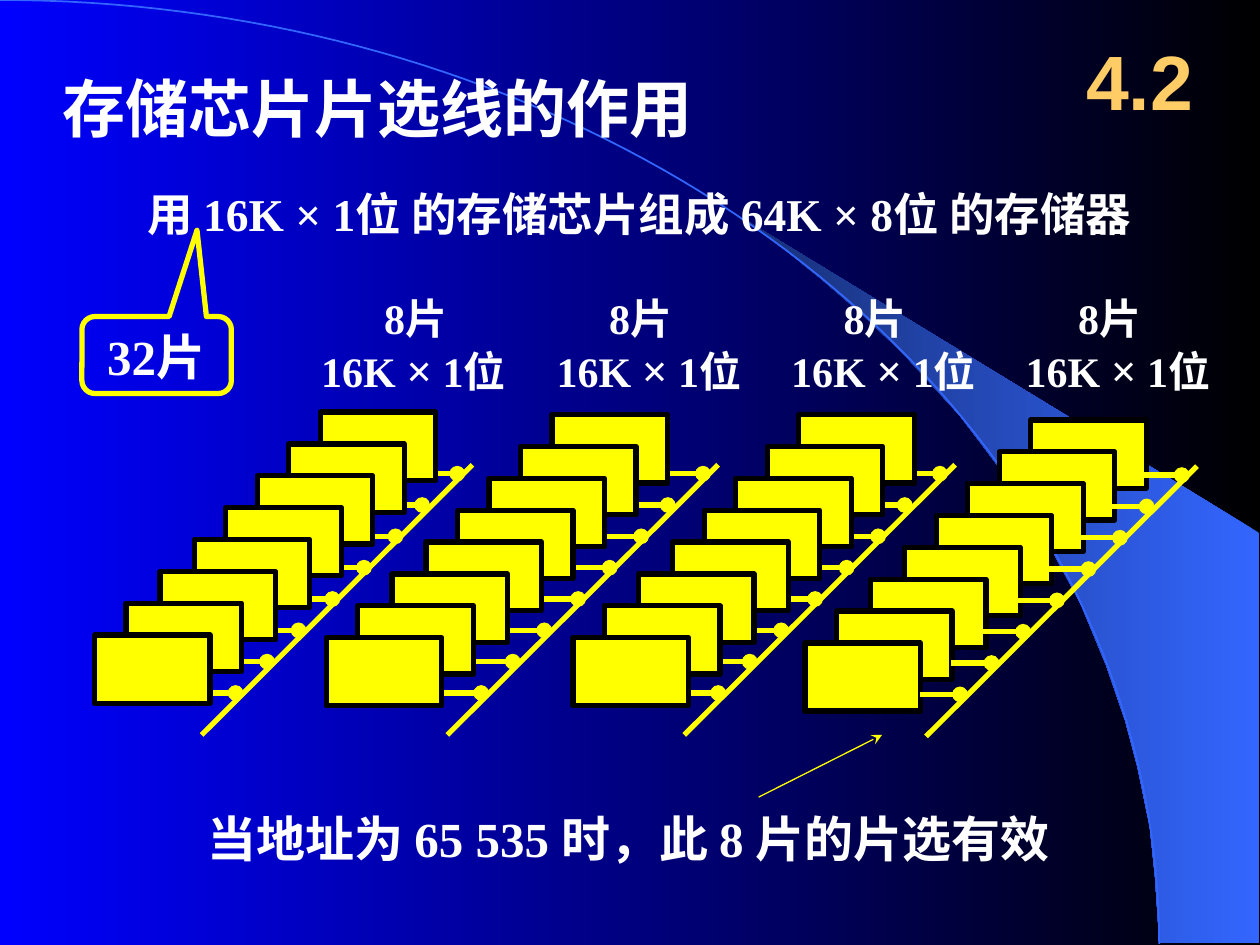
from math import cos, pi, sin

from pptx import Presentation
from pptx.dml.color import RGBColor
from pptx.enum.shapes import MSO_CONNECTOR, MSO_SHAPE
from pptx.enum.text import MSO_ANCHOR, MSO_AUTO_SIZE, PP_ALIGN
from pptx.oxml.ns import qn
from pptx.oxml.xmlchemy import OxmlElement
from pptx.util import Pt

STRAIGHT = MSO_CONNECTOR.STRAIGHT
RECTANGLE = MSO_SHAPE.RECTANGLE
CALLOUT = MSO_SHAPE.ROUNDED_RECTANGULAR_CALLOUT
TOP, MIDDLE = MSO_ANCHOR.TOP, MSO_ANCHOR.MIDDLE
FIT, FIXED = MSO_AUTO_SIZE.SHAPE_TO_FIT_TEXT, MSO_AUTO_SIZE.NONE
LEFT, CENTER = PP_ALIGN.LEFT, PP_ALIGN.CENTER

COLORS = {
    "black": "000000",
    "blue": "0000FF",
    "sky": "3366FF",
    "navy": "172F75",
    "yellow": "FFFF00",
    "white": "FFFFFF",
    "gold": "FFCC66",
}

CHIP_SHIFTS = [0, 18, 36, 54, 72, 91.5, 111, 129]
CHIP_STEP = 18.2
CHIP_BACKS = [(183, 235.5), (315.5, 237), (456.5, 237), (589, 240)]
TAP_SHIFTS = [31.7, 51.8, 67, 85, 103, 122.4, 140.4, 158.4]
TAP_STEP = 17.9
BUS_TOPS = [(545.8, 265.6), (410.4, 265.6), (270, 265.6)]
LAST_BUS_TOP = (684, 266.4)
LABELS = [(176.4, 159, 36), (311, 151, 30), (445, 131, 30), (579, 141, 30)]
FAN = [
    (662.5, 538.5), (719.5, 539), (719.5, 304.5), (424, 124.5), (449, 143),
    (470, 160), (493, 180), (515.5, 201.5), (548.5, 237.5), (578, 276.5),
    (599, 310.5), (617.5, 345), (632, 380), (643, 412), (650, 438.5),
    (657, 472.5), (660, 501),
]


def color(name):
    return RGBColor.from_string(COLORS[name])


class Board:
    def __init__(self, slide):
        self.slide = slide
        self.shapes = slide.shapes
        self.font = "Times New Roman"

    def gradient(self, fill, right, left):
        fill.gradient()
        fill.gradient_angle = 180
        for stop, name in zip(fill.gradient_stops, (right, left)):
            stop.color.rgb = color(name)

    def outline(self, points, close):
        first, *rest = [(Pt(x), Pt(y)) for x, y in points]
        builder = self.shapes.build_freeform(*first)
        builder.add_line_segments(rest, close=close)
        shape = builder.convert_to_shape()
        shape.shadow.inherit = False
        return shape

    def line(self, start, end, width=3, tail=None):
        link = self.shapes.add_connector(STRAIGHT, *map(Pt, (*start, *end)))
        link.line.color.rgb = color("yellow")
        link.line.width = Pt(width)
        properties = link.element.spPr
        if tail:
            tail_end = OxmlElement("a:tailEnd")
            tail_end.set("type", tail)
            properties.find(qn("a:ln")).append(tail_end)
        properties.append(OxmlElement("a:effectLst"))

    def box(self, kind, area, fill, border):
        shape = self.shapes.add_shape(kind, *map(Pt, area))
        shape.shadow.inherit = False
        if fill:
            shape.fill.solid()
            shape.fill.fore_color.rgb = color(fill)
        else:
            shape.fill.background()
        shape.line.color.rgb = color(border)
        shape.line.width = Pt(3)
        return shape

    def text(self, area, rows, size, **style):
        frame = self.shapes.add_textbox(*map(Pt, area)).text_frame
        self.fill_text(frame, rows, size, **style)

    def fill_text(self, frame, rows, size, ink="white", font=None, align=LEFT,
                  anchor=TOP, fit=FIT, wrap=True, indent=0):
        frame.word_wrap = wrap
        frame.auto_size = fit
        frame.vertical_anchor = anchor
        for number, row in enumerate(rows):
            paragraph = frame.add_paragraph() if number else frame.paragraphs[0]
            paragraph.alignment = align
            paragraph.font.name = font or self.font
            paragraph.font.size = Pt(size)
            paragraph.font.bold = True
            paragraph.font.color.rgb = color(ink)
            if indent and number == 0:
                paragraph._p.get_or_add_pPr().set("marL", str(Pt(indent)))
            for words, run_size in row:
                run = paragraph.add_run()
                run.text = words
                if run_size:
                    run.font.size = Pt(run_size)

    def bus(self, x, y):
        self.line((x, y), (x - 154.8, y + 154.4))
        for number, shift in enumerate(TAP_SHIFTS):
            level = y + 5.1 + number * TAP_STEP
            self.line((x - shift, level), (x - shift + 23, level), tail="oval")

    def chips(self, x, y):
        for number, shift in enumerate(CHIP_SHIFTS):
            area = (x - shift, y + number * CHIP_STEP, 66, 39)
            self.box(RECTANGLE, area, "yellow", "black")


def main():
    deck = Presentation()
    deck.slide_width, deck.slide_height = Pt(720), Pt(540)
    board = Board(deck.slides.add_slide(deck.slide_layouts[6]))
    board.gradient(board.slide.background.fill, "black", "blue")

    fan = board.outline(FAN, True)
    board.gradient(fan.fill, "sky", "navy")
    fan.line.fill.background()

    angles = [step * pi / 160 for step in range(81)]
    arc = board.outline(
        [(662.4 * sin(a), 539.3 * (1 - cos(a))) for a in angles], False)
    arc.fill.background()
    arc.line.color.rgb = color("sky")
    arc.line.width = Pt(1)

    for top in BUS_TOPS:
        board.bus(*top)

    board.text((28.8, 36, 374.4, 50.4), [[("存储芯片片选线的作用", None)]], 36,
               wrap=False)
    board.text((77, 103, 612.7, 38.9),
               [[("用 16K × 1位 的存储芯片组成 64K × 8位 的存储器", None)]], 26)

    for back in CHIP_BACKS:
        board.chips(*back)

    total = board.box(CALLOUT, (46.8, 180.9, 85.4, 44), None, "yellow")
    for number, value in enumerate((0.27, -1.62, 0.17)):
        total.adjustments[number] = value
    total.text_frame.margin_left = Pt(12.3)
    total.text_frame.margin_right = 0
    board.fill_text(total.text_frame, [[("32片", None)]], 28)

    board.bus(*LAST_BUS_TOP)

    board.text((111.6, 458.6, 518.4, 74.9),
               [[("当地址为 65 535 时，此 8 片的片选有效", None)]], 28)
    board.line((433.5, 455.5), (504, 420), width=0.75, tail="stealth")

    capacity = [("16K ", None), ("×", 26), (" 1位", None)]
    for x, width, indent in LABELS:
        board.text((x, 163.4, width, 67.7), [[("8片", None)], capacity], 24,
                   indent=indent)

    board.text((606.2, 12.2, 90, 66.2), [[("4.2", None)]], 44, ink="gold",
               font="Arial", align=CENTER, anchor=MIDDLE, fit=FIXED)
    deck.save("out.pptx")


if __name__ == "__main__":
    main()
